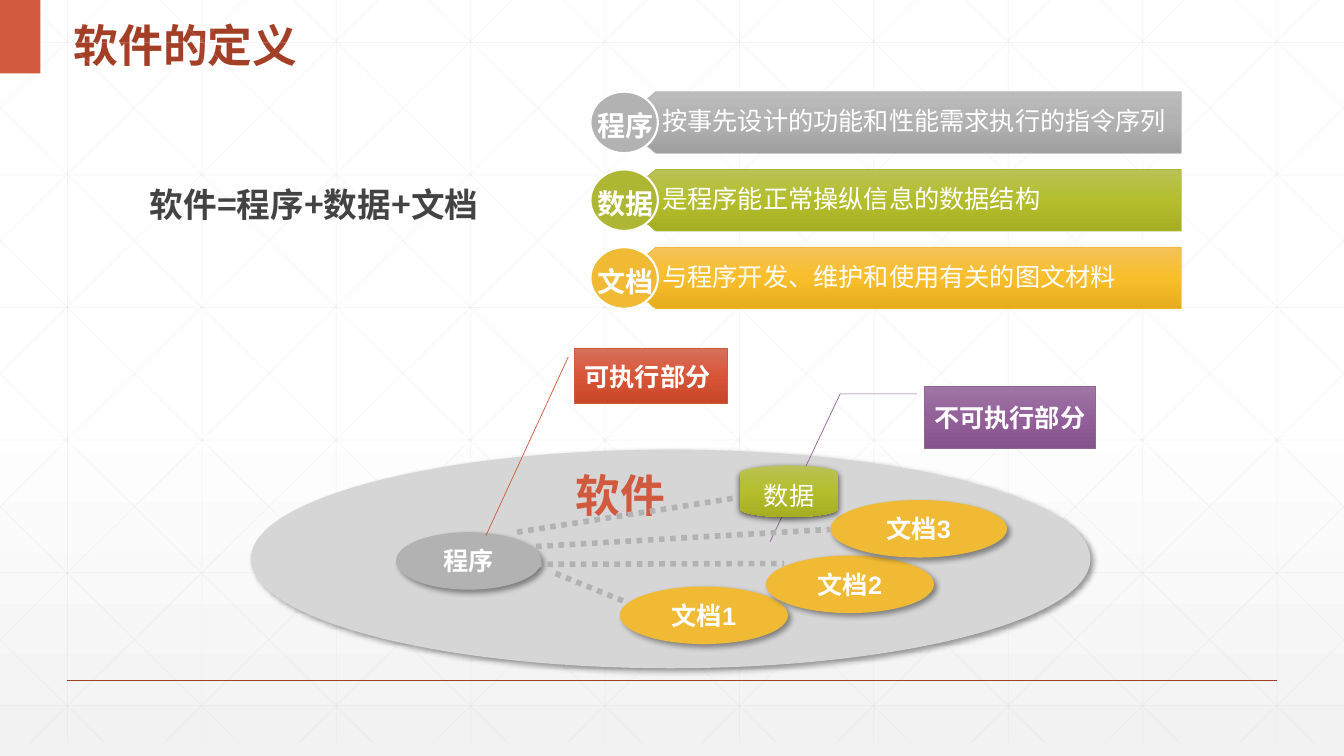
import copy

import pptx
import pptx.dml.color
import pptx.enum.dml
import pptx.enum.shapes
import pptx.enum.text
import pptx.oxml
import pptx.oxml.ns
import pptx.util

Cm = pptx.util.Cm
Pt = pptx.util.Pt
RGB = pptx.dml.color.RGBColor.from_string
SHAPE = pptx.enum.shapes.MSO_SHAPE
ALIGN = pptx.enum.text.PP_ALIGN
ANCHOR = pptx.enum.text.MSO_ANCHOR
qn = pptx.oxml.ns.qn

COLORS = {
    "white": "FFFFFF", "mist": "F2F2F2", "grid": "D9D9D9", "rule": "A43F27",
    "red": "D15A3E", "purple": "926397", "gray": "B2B2B2", "green": "AEB733",
    "yellow": "F0BA34", "field": "D5D6D5", "ink": "424342", "black": "000000",
}
GRADIENTS = {
    "red": ("D7705D", "D85537", "C84728"),
    "purple": ("9F76A3", "94609A", "85538B"),
    "gray": ("BBBBBB", "B2B2B2", "9E9E9E"),
    "green": ("B9C256", "B4BE2C", "A5AE22"),
    "yellow": ("F4C258", "F9BE2B", "E5AC1F"),
}
WIDTH, HEIGHT = 33.87, 19.05
SOFT_SHADOW = (40, 4, 3, 45)

presentation = pptx.Presentation()
presentation.slide_width, presentation.slide_height = Cm(WIDTH), Cm(HEIGHT)
slide = presentation.slides.add_slide(presentation.slide_layouts[5])
shapes = slide.shapes


def style(shape, fill=None, gradient=None, line=None, line_width=0.5, shadow=None,
          text=None, size=18, color="white", bold=True, font="Arial",
          align=ALIGN.LEFT, spacing=None, **frame_format):
    """Set fill, outline, shadow (opacity, blur, distance, angle) and text of a shape."""
    if fill:
        shape.fill.solid()
        shape.fill.fore_color.rgb = RGB(COLORS[fill])
    elif gradient:
        shape.fill.gradient()
        shape.fill.gradient_angle = 270
        stop_list = shape.element.find(".//" + qn("a:gsLst"))
        stop_list.append(copy.deepcopy(stop_list[1]))
        for index, stop in enumerate(shape.fill.gradient_stops):
            stop.position = index / 2
            stop.color.rgb = RGB(GRADIENTS[gradient][index])
    else:
        shape.fill.background()
    if line:
        shape.line.color.rgb = RGB(COLORS[line])
        shape.line.width = Pt(line_width)
    else:
        shape.line.fill.background()
    shape.shadow.inherit = False
    if shadow:
        opacity, blur, distance, angle = shadow
        effects = shape.element.spPr.find(qn("a:effectLst"))
        outer = effects.makeelement(qn("a:outerShdw"), {
            "blurRad": str(Pt(blur)), "dist": str(Pt(distance)),
            "dir": str(angle * 60000), "rotWithShape": "0"})
        effects.append(outer)
        tint = outer.makeelement(qn("a:srgbClr"), {"val": COLORS["black"]})
        outer.append(tint)
        tint.append(tint.makeelement(qn("a:alpha"), {"val": str(opacity * 1000)}))
    if text:
        frame = shape.text_frame
        frame.text = text
        for name, value in ({"word_wrap": True} | frame_format).items():
            setattr(frame, name, value)
        paragraph = frame.paragraphs[0]
        paragraph.alignment = align
        paragraph.line_spacing = spacing
        run_font = paragraph.runs[0].font
        for name, value in {"size": Pt(size), "bold": bold, "name": font}.items():
            setattr(run_font, name, value)
        run_font.color.rgb = RGB(COLORS[color])


def draw_line(x1, y1, x2, y2, color, width, dash=None, opacity=None):
    line = shapes.add_connector(pptx.enum.shapes.MSO_CONNECTOR.STRAIGHT,
                                Cm(x1), Cm(y1), Cm(x2), Cm(y2))
    line.line.color.rgb = RGB(COLORS[color])
    line.line.width = Pt(width)
    line.line.dash_style = dash
    properties = line.element.spPr
    properties.append(properties.makeelement(qn("a:effectLst"), {}))
    if opacity:
        tint = properties.find(".//" + qn("a:srgbClr"))
        tint.append(tint.makeelement(qn("a:alpha"), {"val": str(opacity * 1000)}))


# Background: gradient, faint grid and diagonals
background = slide.background.fill
background.gradient()
background.gradient_angle = 270
for stop, (position, color) in zip(background.gradient_stops, ((0.53, "white"), (1, "mist"))):
    stop.position = position
    stop.color.rgb = RGB(COLORS[color])

GRID_BOTTOM, GRID_STEP, DIAGONAL_RUN = 18.72, 3.387, 18.93
grid = [(1.7 + GRID_STEP * i, 0, 1.7 + GRID_STEP * i, GRID_BOTTOM) for i in range(10)]
grid += [(0, 1.07 + 3.34 * i, WIDTH, 1.07 + 3.34 * i) for i in range(6)]
slope = GRID_BOTTOM / DIAGONAL_RUN
for i in range(-5, 10):
    start = 0.64 + GRID_STEP * i
    left, right = max(start, 0), min(start + DIAGONAL_RUN, WIDTH)
    top, bottom = (left - start) * slope, (right - start) * slope
    grid += [(left, top, right, bottom), (WIDTH - left, top, WIDTH - right, bottom)]
for ends in grid:
    draw_line(*ends, "grid", 0.5, opacity=25)
draw_line(1.7, 17.15, 32.18, 17.15, "rule", 1)

# Title
title = shapes.title
title.left, title.top, title.width, title.height = Cm(1.6), Cm(0), Cm(14.45), Cm(1.85)
style(title, text="软件的定义", size=32, color="rule", spacing=1.3,
      vertical_anchor=ANCHOR.MIDDLE)

# Diagram of the parts of software
centered = {"align": ALIGN.CENTER, "vertical_anchor": ANCHOR.MIDDLE,
            "margin_top": 0, "margin_bottom": 0}
part = centered | {"shadow": SOFT_SHADOW}
callout = {"vertical_anchor": ANCHOR.MIDDLE, "word_wrap": False}
diagram = [
    (SHAPE.RECTANGLE, (0, 0, 1.02, 1.85), (), {"fill": "red"}),
    (SHAPE.OVAL, (6.32, 11.33, 21.16, 5.51), (), {"fill": "field", "shadow": SOFT_SHADOW}),
    (SHAPE.OVAL, (9.98, 13.41, 3.66, 1.45), (), part | {"fill": "gray", "text": "程序"}),
    (SHAPE.OVAL, (13.64, 11.33, 4.01, 2.29), (),
     centered | {"text": "软件", "size": 32, "color": "red"}),
    (SHAPE.LINE_CALLOUT_1, (14.48, 8.79, 3.86, 1.37), (0.15, -0.041, 3.437, -0.579),
     callout | {"gradient": "red", "line": "red", "text": "可执行部分"}),
    (SHAPE.LINE_CALLOUT_2, (23.29, 9.73, 4.32, 1.57),
     (0.125, -0.041, 0.125, -0.49, 2.499, -0.899),
     callout | {"gradient": "purple", "line": "purple", "text": "不可执行部分"}),
    (SHAPE.OVAL, (15.62, 14.78, 4.24, 1.45), (), part | {"fill": "yellow", "text": "文档1"}),
    (SHAPE.OVAL, (19.3, 14, 4.24, 1.45), (), part | {"fill": "yellow", "text": "文档2"}),
    (SHAPE.OVAL, (20.93, 12.6, 4.45, 1.45), (), part | {"fill": "yellow", "text": "文档3"}),
    (SHAPE.FLOWCHART_MAGNETIC_DISK, (18.64, 11.73, 2.49, 1.3), (),
     centered | {"gradient": "green", "shadow": (63, 4.5, 1.5, 90), "text": "数据",
                 "bold": False}),
]
for kind, place, adjustments, looks in diagram:
    shape = shapes.add_shape(kind, *map(Cm, place))
    for index, value in enumerate(adjustments):
        shape.adjustments[index] = value
    style(shape, **looks)

for ends in ((14, 14.45, 15.82, 15.19), (13.51, 14.22, 19.76, 14.2),
             (13.51, 13.77, 20.93, 13.34), (13.03, 13.41, 18.52, 12.55)):
    draw_line(*ends, "gray", 4, dash=pptx.enum.dml.MSO_LINE.ROUND_DOT)

# Formula
formula = shapes.add_textbox(Cm(3.53), Cm(4.5), Cm(9.3), Cm(1.27))
style(formula, text="软件=程序+数据+文档", size=24, color="ink", font="Noto Sans CJK SC")

# Definitions
definitions = [
    ("程序", "按事先设计的功能和性能需求执行的指令序列", "gray"),
    ("数据", "是程序能正常操纵信息的数据结构", "green"),
    ("文档", "与程序开发、维护和使用有关的图文材料", "yellow"),
]
LEFT, RIGHT, NOTCH, BAR_HEIGHT = 15.62, 29.77, 0.91, 1.55
for index, (term, meaning, color) in enumerate(definitions):
    top = 2.31 + 1.96 * index
    bottom = top + BAR_HEIGHT
    outline = [(RIGHT, bottom), (LEFT + NOTCH, bottom), (LEFT, top + BAR_HEIGHT / 2),
               (LEFT + NOTCH, top), (RIGHT, top)]
    points = [(Cm(x), Cm(y)) for x, y in outline]
    builder = shapes.build_freeform(*points[0])
    builder.add_line_segments(points[1:], close=True)
    style(builder.convert_to_shape(), gradient=color, line=color, text=meaning,
          bold=False, spacing=0.9, vertical_anchor=ANCHOR.MIDDLE, margin_left=Cm(1.07))
    badge = shapes.add_shape(SHAPE.OVAL, Cm(14.88), Cm(top), Cm(1.7), Cm(BAR_HEIGHT))
    style(badge, fill=color, line="white", line_width=1.5)
    label = shapes.add_textbox(Cm(14.81), Cm(top + 0.31), Cm(1.93), Cm(1.12))
    style(label, text=term, size=20, word_wrap=False)

presentation.save("out.pptx")
